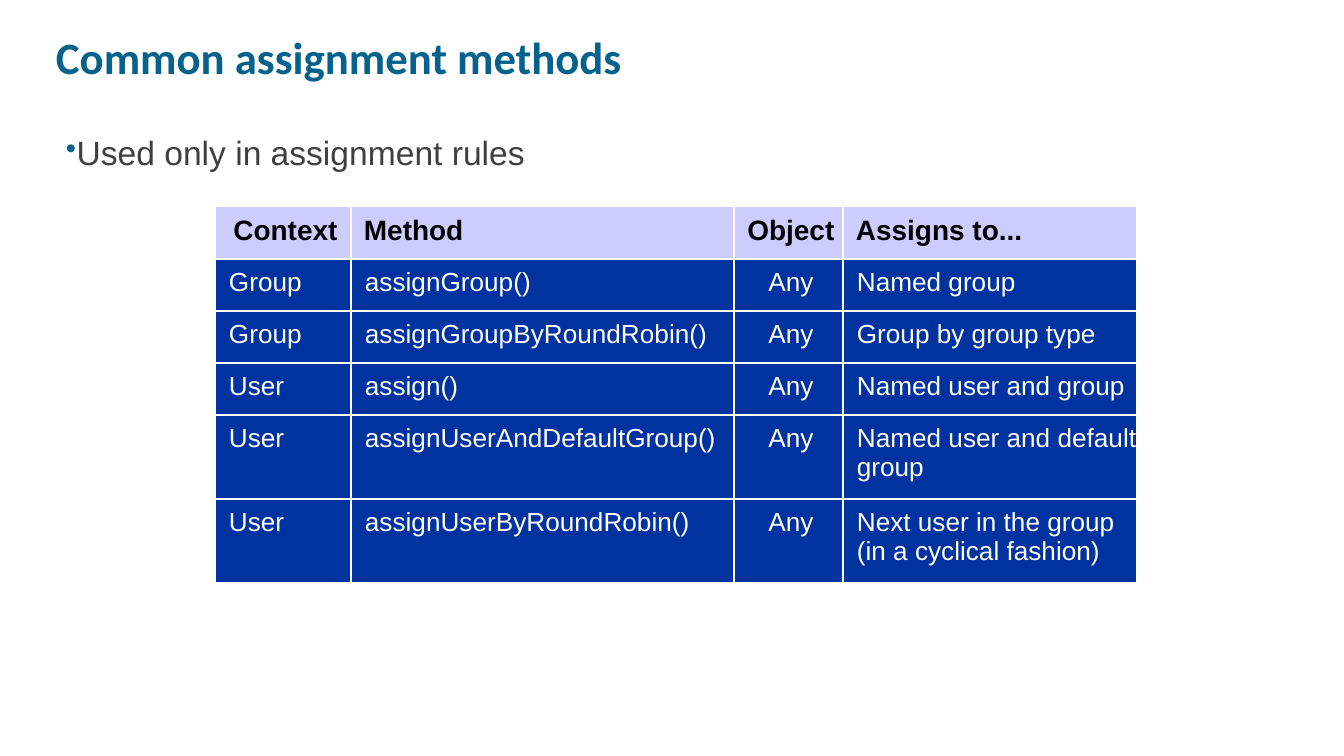
from lxml.etree import SubElement as Sub
from pptx import Presentation
from pptx.dml.color import RGBColor
from pptx.enum.text import MSO_ANCHOR as Anchor, MSO_AUTO_SIZE as Auto, PP_ALIGN as Align
from pptx.oxml.ns import qn
from pptx.util import Emu, Pt

SCALE = 914400 / 134.4


def px(n):
    return Emu(round(n * SCALE))


def rgb(code):
    return RGBColor.from_string(code)


def write(frame, text, size=14, color="FFFFFF", bold=False, font="Arial",
          align=Align.LEFT, indent=0, line=None, dot=None):
    para = frame.paragraphs[0]
    props = para._p.get_or_add_pPr()
    props.set("marL", str(px(indent)))
    props.set("indent", "0")
    if dot:
        tint = Sub(props, qn("a:buClr"))
        Sub(tint, qn("a:srgbClr"), val=dot)
        Sub(props, qn("a:buSzPct"), val="90000")
        Sub(props, qn("a:buChar"), char="•")
    para.alignment = align
    if line:
        para.line_spacing = line
    run = para.add_run()
    run.text = text
    style = run.font
    style.name, style.size, style.bold = font, Pt(size), bold
    style.color.rgb = rgb(color)


class Deck:
    teal, gray, navy, pale = "04628C", "404040", "0033A0", "CCCCFF"

    def __init__(self, wide, high):
        self.file = Presentation()
        self.file.slide_width, self.file.slide_height = px(wide), px(high)
        self.slide = self.file.slides.add_slide(self.file.slide_layouts[5])

    def setup(self, frame):
        frame.word_wrap = True
        frame.auto_size = Auto.NONE
        frame.vertical_anchor = Anchor.TOP
        frame.margin_left = frame.margin_right = 0
        frame.margin_top = frame.margin_bottom = 0

    def title(self, text, x, y, w, h):
        shape = self.slide.shapes.title
        shape.left, shape.top, shape.width, shape.height = map(px, (x, y, w, h))
        self.setup(shape.text_frame)
        write(shape.text_frame, text, size=24, color=self.teal, bold=True,
              font="Calibri", line=0.8)

    def bullet(self, text, x, y, w, h):
        box = self.slide.shapes.add_textbox(*map(px, (x, y, w, h)))
        self.setup(box.text_frame)
        write(box.text_frame, text, size=18, color=self.gray, dot=self.teal)

    def cell(self, cell, text, fill, **form):
        cell.margin_left, cell.margin_right = px(5), 0
        cell.margin_top = cell.margin_bottom = px(9)
        write(cell.text_frame, text, **form)
        props = cell._tc.get_or_add_tcPr()
        for side in ("lnL", "lnR", "lnT", "lnB"):
            edge = Sub(props, qn("a:" + side), w=str(Pt(1)))
            Sub(Sub(edge, qn("a:solidFill")), qn("a:srgbClr"), val="FFFFFF")
        cell.fill.solid()
        cell.fill.fore_color.rgb = rgb(fill)

    def table(self, rows, x, y, cols, highs, mid):
        size = (x, y, sum(cols), sum(highs))
        grid = self.slide.shapes.add_table(len(rows), len(cols), *map(px, size)).table
        for col, wide in zip(grid.columns, cols):
            col.width = px(wide)
        for row, high in zip(grid.rows, highs):
            row.height = px(high)
        for r, row in enumerate(rows):
            head = r == 0
            look = dict(size=15, color="000000", bold=True) if head else {}
            for c, text in enumerate(row):
                center = c == mid or (head and c == 0)
                self.cell(grid.cell(r, c), text, self.pale if head else self.navy,
                          align=Align.CENTER if center else Align.LEFT,
                          indent=0 if center else 8 if head else 9, **look)


def main():
    deck = Deck(1344, 756)

    # Heading and lead point
    deck.title("Common assignment methods", 56, 40, 1231, 91)
    deck.bullet("Used only in assignment rules", 66, 132, 1223, 605)

    # Table of methods
    rows = [
        ("Context", "Method", "Object", "Assigns to..."),
        ("Group", "assignGroup()", "Any", "Named group"),
        ("Group", "assignGroupByRoundRobin()", "Any", "Group by group type"),
        ("User", "assign()", "Any", "Named user and group"),
        ("User", "assignUserAndDefaultGroup()", "Any", "Named user and default group"),
        ("User", "assignUserByRoundRobin()", "Any",
         "Next user in the group (in a cyclical fashion)"),
    ]
    deck.table(rows, 215, 206, cols=(136, 383, 109, 294),
               highs=(53, 52, 52, 52, 84, 84), mid=2)

    deck.file.save("out.pptx")


if __name__ == "__main__":
    main()
